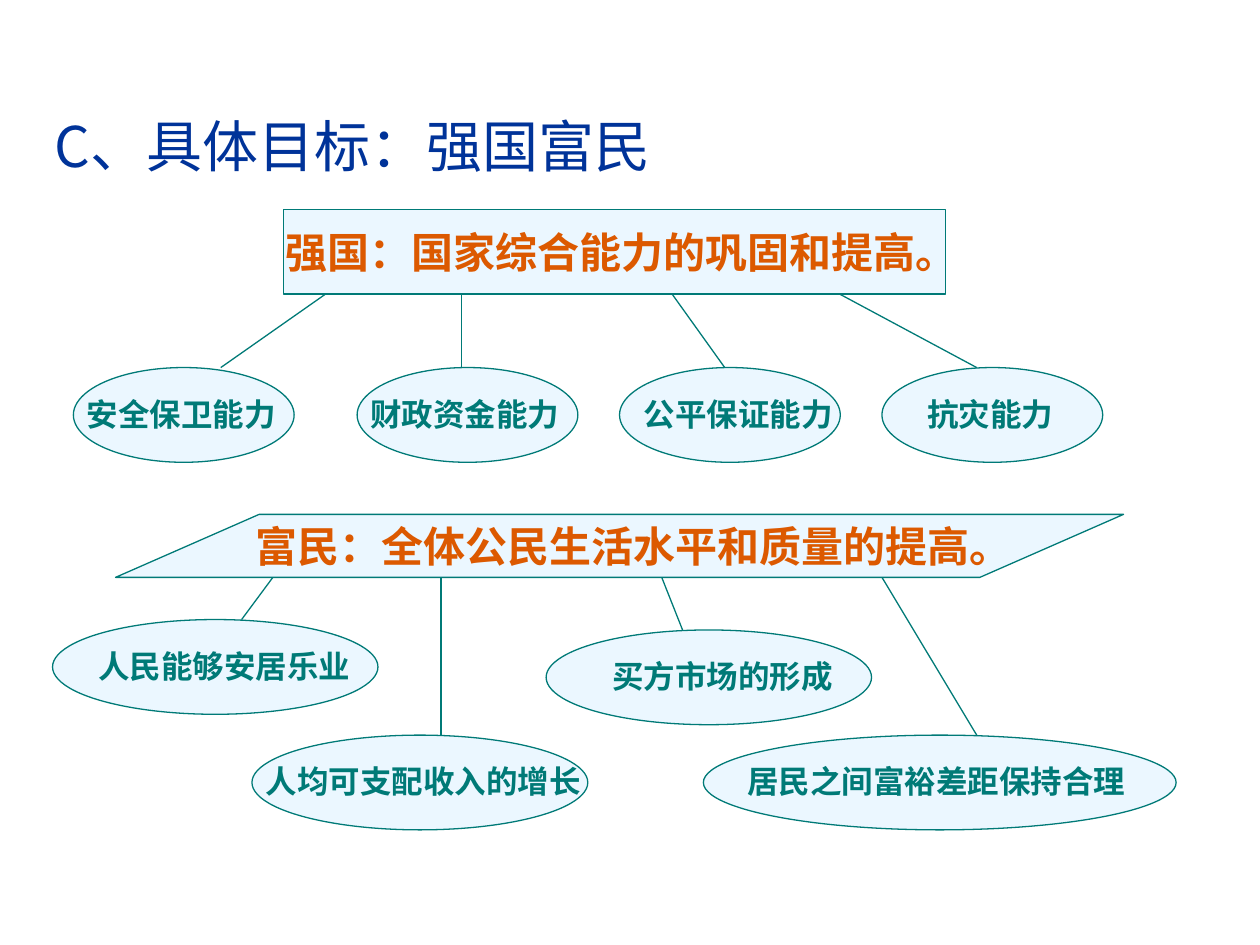
from lxml import etree
from pptx import Presentation
from pptx import util as u
from pptx.dml.color import RGBColor
from pptx.enum import shapes, text
from pptx.oxml.ns import qn

Cm = u.Cm
COLORS = {"title": "003399", "heading": "DC5900", "teal": "007A77", "pale": "EBF7FF"}
CJK = "Noto Sans CJK SC"

prs = Presentation()
prs.slide_width, prs.slide_height = Cm(25.4), Cm(19.05)
s = prs.slides.add_slide(prs.slide_layouts[6])


def add_text(content, x, y, w, h, size=18, color="teal", font="Arial",
             bold=True, wrap=False, spacing=None):
    tf = s.shapes.add_textbox(Cm(x), Cm(y), Cm(w), Cm(h)).text_frame
    tf.word_wrap = wrap
    tf.auto_size = text.MSO_AUTO_SIZE.SHAPE_TO_FIT_TEXT
    p = tf.paragraphs[0]
    if spacing:
        p.line_spacing = spacing
    r = p.add_run()
    r.text = content
    r.font.name, r.font.size, r.font.bold = font, u.Pt(size), bold
    r.font.color.rgb = RGBColor.from_string(COLORS[color])
    etree.SubElement(r.font._element, qn("a:ea"), typeface=CJK)


def add_box(kind, x, y, w, h):
    sp = s.shapes.add_shape(kind, Cm(x), Cm(y), Cm(w), Cm(h))
    sp.shadow.inherit = False
    sp.fill.solid()
    sp.fill.fore_color.rgb = RGBColor.from_string(COLORS["pale"])
    sp.line.color.rgb = RGBColor.from_string(COLORS["teal"])
    sp.line.width = u.Pt(0.75)
    return sp


# Title
add_text("C、具体目标：强国富民", 0.85, 2.12, 21.38, 1.63, size=32,
         color="title", font=CJK, bold=False, wrap=True)

# Heading: strong country
add_box(shapes.MSO_SHAPE.RECTANGLE, 5.72, 4.23, 13.34, 1.7)
add_text("强国：国家综合能力的巩固和提高。", 5.5, 4.45, 14.61, 1.27, size=24,
         color="heading", font=CJK, wrap=True)

# Heading: prosperous people
sp = add_box(shapes.MSO_SHAPE.PARALLELOGRAM, 2.33, 10.37, 20.32, 1.27)
sp.adjustments[0] = 2.28
add_text("富民：全体公民生活水平和质量的提高。", 4.91, 9.96, 15.75, 1.68, size=24,
         color="heading", font=CJK, spacing=1.4)

# Goals: label, ellipse x, y, width, label x, width, line start x, end x
strong = [
    ("安全保卫能力", 1.48, 7.41, 4.45, 1.5, 4.32, 6.56, 4.45),
    ("财政资金能力", 7.2, 7.41, 4.45, 7.21, 4.32, 9.31, 9.31),
    ("公平保证能力", 12.49, 7.41, 4.45, 12.73, 4.32, 13.55, 14.61),
    ("抗灾能力", 17.78, 7.41, 4.45, 18.44, 3.05, 16.93, 19.69),
]
prosperous = [
    ("人民能够安居乐业", 1.06, 12.49, 6.56, 1.73, 5.59, 5.5, 4.87),
    ("人均可支配收入的增长", 5.08, 14.82, 6.77, 5.11, 6.86, 8.89, 8.89),
    ("买方市场的形成", 11.01, 12.7, 6.56, 12.09, 4.95, 13.34, 13.76),
    ("居民之间富裕差距保持合理", 14.18, 14.82, 9.53, 14.81, 9.02, 17.78, 19.69),
]
for heading_bottom, goals in ((5.93, strong), (11.64, prosperous)):
    for label, x, y, w, label_x, label_w, x1, x2 in goals:
        add_box(shapes.MSO_SHAPE.OVAL, x, y, w, 1.91)
        add_text(label, label_x, y + 0.42, label_w, 1.02, wrap=label_w > 9)
        line = s.shapes.add_connector(shapes.MSO_CONNECTOR.STRAIGHT, Cm(x1),
                                      Cm(heading_bottom), Cm(x2), Cm(y))
        line.line.color.rgb = RGBColor.from_string(COLORS["teal"])
        line.line.width = u.Pt(0.75)
        etree.SubElement(line._element.spPr, qn("a:effectLst"))

prs.save("out.pptx")
